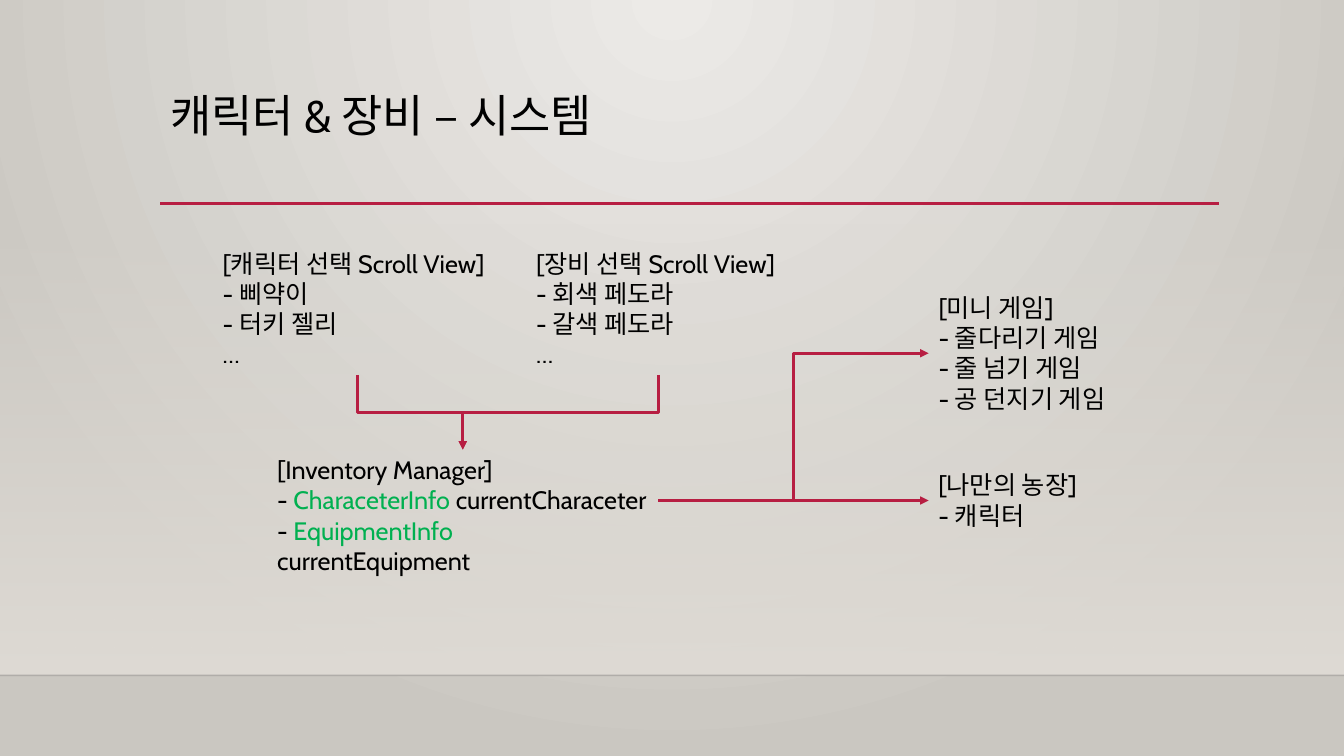
from lxml import etree
from pptx import Presentation
from pptx import util as u
from pptx.dml.color import RGBColor
from pptx.enum import shapes, text
from pptx.oxml.ns import qn

WIDTH, HEIGHT = 13.33, 7.5
FONT = "Cabin"
COLORS = {
    "ink": "000000",
    "accent": "B71E42",
    "type": "00B050",
    "light": "ECEAE7",
    "dark": "CAC7C1",
    "wall": "DFDBD5",
    "edge": "000001",
}


def color(name):
    return RGBColor.from_string(COLORS[name])


def set_alpha(color_node, percent):
    etree.SubElement(color_node, qn("a:alpha"), val=str(percent * 1000))


def set_gradient(fill, first, last):
    fill.gradient()
    for stop, name, position in zip(fill.gradient_stops, (first, last), (0, 1)):
        stop.color.rgb = color(name)
        stop.position = position


def add_line(page, begin, end, name="accent", weight=2.0, kind="STRAIGHT", arrow=False):
    points = [u.Inches(value) for value in (*begin, *end)]
    line = page.shapes.add_connector(shapes.MSO_CONNECTOR[kind], *points)
    line.line.color.rgb = color(name)
    line.line.width = u.Pt(weight)
    properties = line._element.spPr
    if arrow:
        etree.SubElement(properties.find(qn("a:ln")), qn("a:tailEnd"), type="triangle")
    etree.SubElement(properties, qn("a:effectLst"))
    return line


def add_drop_elbow(page, begin, end):
    middle_x, middle_y = (begin[0] + end[0]) / 2, (begin[1] + end[1]) / 2
    half_x, half_y = (end[0] - begin[0]) / 2, (end[1] - begin[1]) / 2
    side, turn = (1, 90) if half_x < 0 else (-1, 270)
    elbow = add_line(
        page,
        (middle_x - side * half_y, middle_y + side * half_x),
        (middle_x + side * half_y, middle_y - side * half_x),
        kind="ELBOW",
        arrow=True,
    )
    elbow._element.spPr.find(qn("a:xfrm")).set("rot", str(turn * 60000))


def add_text(page, box, lines, size=18, spacing=None):
    frame = page.shapes.add_textbox(*[u.Inches(value) for value in box]).text_frame
    frame.word_wrap = True
    frame.vertical_anchor = text.MSO_ANCHOR.TOP
    for index, line in enumerate(lines):
        para = frame.paragraphs[0] if index == 0 else frame.add_paragraph()
        para.font.name = FONT
        para.font.size = u.Pt(size)
        para.font.color.rgb = color("ink")
        if spacing:
            para.line_spacing = spacing
        for part in [line] if isinstance(line, str) else line:
            words, name = (part, None) if isinstance(part, str) else part
            span = para.add_run()
            span.text = words
            if name:
                span.font.color.rgb = color(name)


def draw_backdrop(page, floor):
    fill = page.background.fill
    set_gradient(fill, "light", "dark")
    gradient = page.background._cSld.find(".//" + qn("a:gradFill"))
    gradient.remove(gradient.find(qn("a:lin")))
    path = etree.SubElement(gradient, qn("a:path"), path="circle")
    etree.SubElement(path, qn("a:fillToRect"), l="43000", t="0", r="43000", b="100000")

    top = 2.21
    wall = page.shapes.add_shape(
        shapes.MSO_SHAPE.RECTANGLE, 0, u.Inches(top), u.Inches(WIDTH), u.Inches(floor - top)
    )
    wall.shadow.inherit = False
    wall.line.fill.background()
    set_gradient(wall.fill, "wall", "wall")
    wall.fill.gradient_angle = 270
    set_alpha(wall._element.spPr.find(".//" + qn("a:srgbClr")), 0)

    edge = add_line(page, (0, floor), (WIDTH, floor), "edge", 1)
    set_alpha(edge._element.spPr.find(".//" + qn("a:srgbClr")), 20)


def draw_heading(page, box):
    left, top, width, height = box
    add_line(page, (left, top + height), (left + width, top + height), weight=2.5)
    add_text(page, box, ["캐릭터 & 장비 – 시스템"], 32, 0.9)


def draw_flow(page, box):
    left, top, width, height = box
    list_height = 1.31
    right = left + width
    target = left + 7.1
    characters = (left, top, 2.88, list_height)
    equipment = (left + 3.11, top, 2.63, list_height)
    manager = (left + 0.54, top + 2.05, 3.88, 1.01)
    games = (target, top + 0.44, right - target, list_height)
    farm = (target, top + 2.2, 1.7, 0.71)

    add_text(page, characters, ["[캐릭터 선택 Scroll View]", "- 삐약이", "- 터키 젤리", "…"])
    add_text(page, equipment, ["[장비 선택 Scroll View]", "- 회색 페도라", "- 갈색 페도라", "…"])
    add_text(page, manager, [
        "[Inventory Manager]",
        ["- ", ("CharaceterInfo ", "type"), "currentCharaceter"],
        ["- ", ("EquipmentInfo ", "type"), "currentEquipment"],
    ])
    add_text(page, games, ["[미니 게임]", "- 줄다리기 게임", "- 줄 넘기 게임", "- 공 던지기 게임"])
    add_text(page, farm, ["[나만의 농장]", "- 캐릭터"])

    manager_top = (manager[0] + manager[2] / 2, manager[1])
    for x, y, wide, high in (characters, equipment):
        add_drop_elbow(page, (x + wide / 2, y + high), manager_top)
    source = (manager[0] + manager[2], manager[1] + manager[3] / 2)
    add_line(page, source, (target, games[1] + list_height / 2), kind="ELBOW", arrow=True)
    add_line(page, source, (target, source[1]), arrow=True)


def main():
    deck = Presentation()
    deck.slide_width, deck.slide_height = u.Inches(WIDTH), u.Inches(HEIGHT)
    page = deck.slides.add_slide(deck.slide_layouts[6])
    draw_backdrop(page, 6.7)
    draw_heading(page, (1.59, 0.88, 10.5, 1.14))
    draw_flow(page, (2.11, 2.41, 9.11, 3.06))
    deck.save("out.pptx")


if __name__ == "__main__":
    main()
